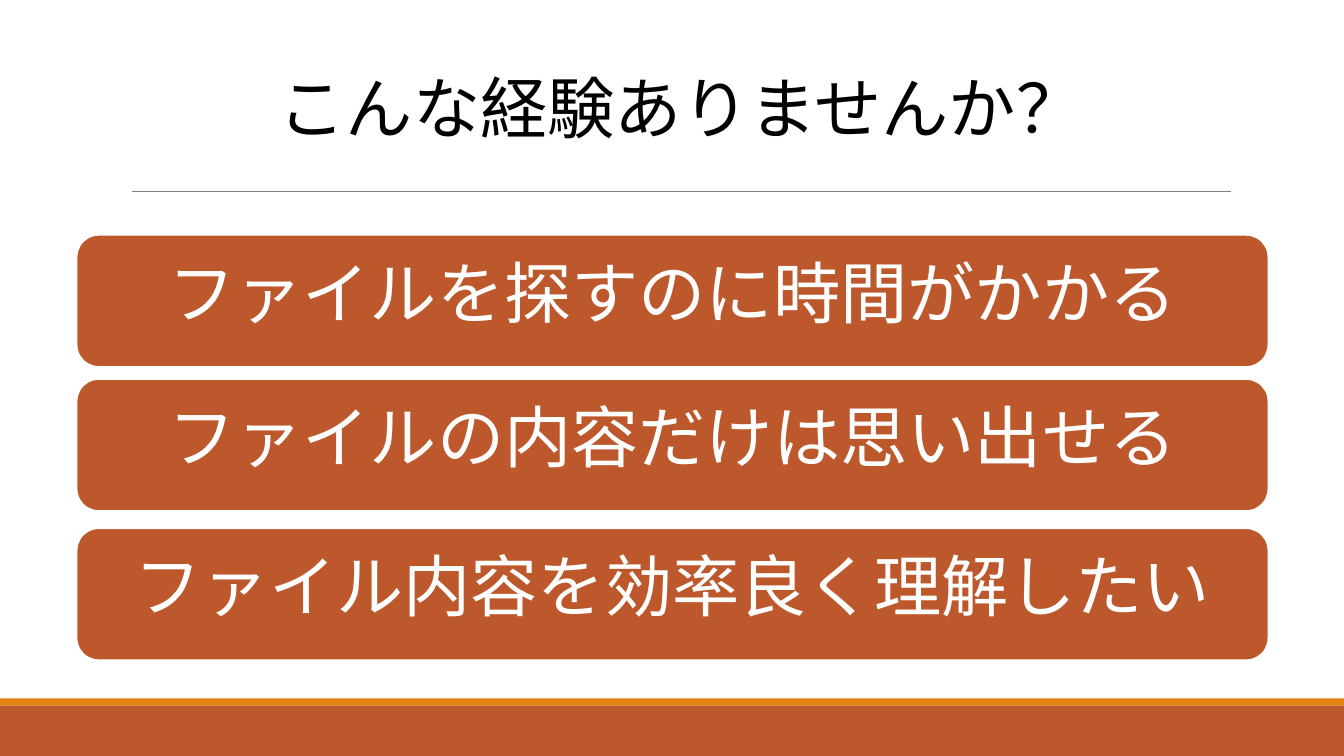
from dataclasses import dataclass

from lxml import etree
from pptx import Presentation
from pptx.dml.color import RGBColor
from pptx.enum.shapes import MSO_CONNECTOR, MSO_SHAPE
from pptx.enum.text import MSO_ANCHOR, MSO_AUTO_SIZE, PP_ALIGN
from pptx.oxml.ns import qn
from pptx.util import Inches, Pt


@dataclass(frozen=True)
class Theme:
    font: str = "Calibri"
    size: int = 48
    text: str = "000000"
    light: str = "FFFFFF"
    rust: str = "BD582C"
    orange: str = "E48312"
    rule: str = "808080"


class SlideBuilder:
    def __init__(self, slide, theme):
        self.s = slide
        self.theme = theme

    def _write(self, tf, text, color):
        tf.text = text
        tf.word_wrap = True
        tf.auto_size = MSO_AUTO_SIZE.NONE
        tf.vertical_anchor = MSO_ANCHOR.MIDDLE
        p = tf.paragraphs[0]
        p.alignment = PP_ALIGN.CENTER
        p.line_spacing = 0.9
        p.font.name = self.theme.font
        p.font.size = Pt(self.theme.size)
        p.font.color.rgb = RGBColor.from_string(color)

    def title(self, text, x, y, w, h):
        sp = self.s.shapes.title
        sp.left, sp.top, sp.width, sp.height = map(Inches, (x, y, w, h))
        self._write(sp.text_frame, text, self.theme.text)

    def rule(self, x1, x2, y):
        line = self.s.shapes.add_connector(
            MSO_CONNECTOR.STRAIGHT, Inches(x1), Inches(y), Inches(x2), Inches(y))
        line.line.color.rgb = RGBColor.from_string(self.theme.rule)
        line.line.width = Pt(0.5)
        etree.SubElement(line._element.spPr, qn("a:effectLst"))

    def box(self, kind, x, y, w, h, color):
        sp = self.s.shapes.add_shape(kind, *map(Inches, (x, y, w, h)))
        sp.shadow.inherit = False
        sp.fill.solid()
        sp.fill.fore_color.rgb = RGBColor.from_string(color)
        sp.line.fill.background()
        return sp

    def band(self, y, h, color):
        self.box(MSO_SHAPE.RECTANGLE, 0, y, 13.33, h, color)

    def card(self, text, y):
        sp = self.box(MSO_SHAPE.ROUNDED_RECTANGLE, 0.76, y, 11.82, 1.31, self.theme.rust)
        sp.line.color.rgb = RGBColor.from_string(self.theme.light)
        sp.line.width = Pt(1.25)
        tf = sp.text_frame
        tf.margin_left = tf.margin_right = Inches(0.2)
        tf.margin_bottom = Inches(0.13)
        self._write(tf, text, self.theme.light)


def main():
    prs = Presentation()
    prs.slide_width, prs.slide_height = Inches(13.33), Inches(7.5)
    theme = Theme()
    slide = SlideBuilder(prs.slides.add_slide(prs.slide_layouts[5]), theme)

    # Title and rule
    slide.title("こんな経験ありませんか？", 1.1, 0.65, 11.31, 0.91)
    slide.rule(1.31, 12.21, 1.9)

    # Footer bands
    slide.band(6.93, 0.07, theme.orange)
    slide.band(7, 0.5, theme.rust)

    # Experience cards
    cards = [
        ("ファイルを探すのに時間がかかる", 2.33),
        ("ファイルの内容だけは思い出せる", 3.76),
        ("ファイル内容を効率良く理解したい", 5.24),
    ]
    for text, y in cards:
        slide.card(text, y)

    prs.save("out.pptx")


if __name__ == "__main__":
    main()
